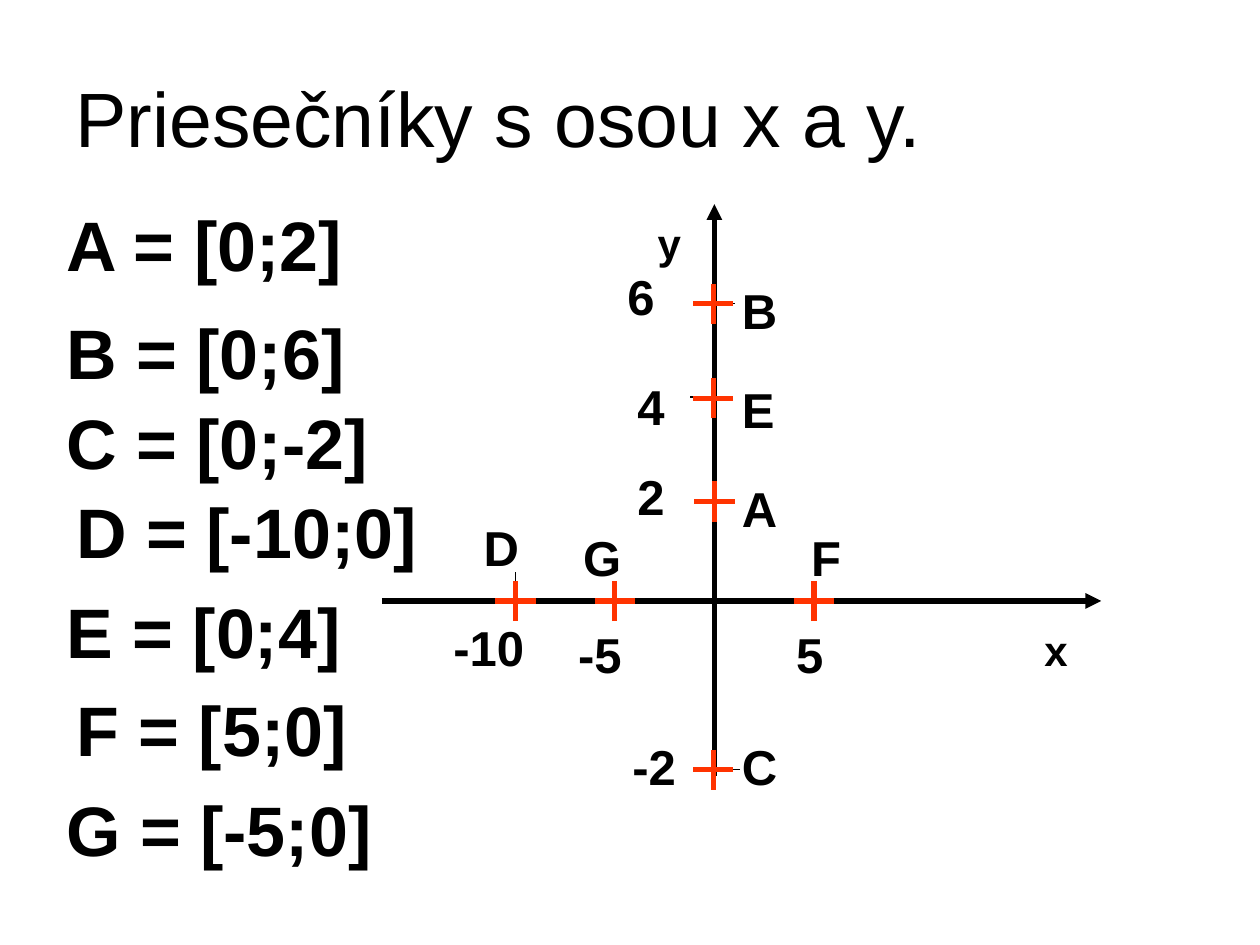
"""Build a slide on the intercepts of points with the x and y axes."""
import pptx
import pptx.dml.color
import pptx.enum.shapes
import pptx.enum.text
import pptx.oxml.ns
import pptx.util
from lxml import etree

Inches = pptx.util.Inches
RGBColor = pptx.dml.color.RGBColor
BLACK = RGBColor(0x00, 0x00, 0x00)
RED = RGBColor(0xFF, 0x33, 0x00)
AXIS_Y, ARM = 4.77, 0.16


def add_line(shapes, x1, y1, x2, y2, color=BLACK, width=3, arrow=False):
    c = shapes.add_connector(
        pptx.enum.shapes.MSO_CONNECTOR.STRAIGHT,
        Inches(x1), Inches(y1), Inches(x2), Inches(y2))
    c.line.color.rgb = color
    c.line.width = pptx.util.Pt(width)
    if arrow:
        etree.SubElement(c.line._get_or_add_ln(), pptx.oxml.ns.qn("a:tailEnd"), type="triangle")
    etree.SubElement(c._element.spPr, pptx.oxml.ns.qn("a:effectLst"))


def add_text(text, x, y, w, h, size, bold=True):
    sp = s.shapes.add_textbox(Inches(x), Inches(y), Inches(w), Inches(h))
    tf = sp.text_frame
    tf.word_wrap = True
    p = tf.paragraphs[0]
    r = p.add_run()
    r.text = text
    for name, value in {"name": "Arial", "size": pptx.util.Pt(size), "bold": bold}.items():
        setattr(r.font, name, value)
    r.font.color.rgb = BLACK
    return tf


prs = pptx.Presentation()
prs.slide_width, prs.slide_height = Inches(10), Inches(7.5)
s = prs.slides.add_slide(prs.slide_layouts[6])

title = add_text("Priesečníky s osou x a y.", 0.5, 0.3, 9, 1.25, 44, bold=False)
title.vertical_anchor = pptx.enum.text.MSO_ANCHOR.MIDDLE

add_line(s.shapes, 3.03, AXIS_Y, 8.74, AXIS_Y, arrow=True)
add_line(s.shapes, 5.67, 6.16, 5.67, 1.62, arrow=True)

for x, top, bottom in [(4.09, 4.54, 4.85), (4.88, 4.62, 4.93), (6.46, 4.62, 4.93)]:
    add_line(s.shapes, x, top, x, bottom, width=0.75)
for y, left, right in [(3.99, 5.51, 5.83), (3.15, 5.48, 5.79),
                       (2.41, 5.51, 5.83), (6.11, 5.63, 5.87)]:
    add_line(s.shapes, left, y, right, y, width=0.75)

crosses = [(6.46, AXIS_Y), (5.67, 3.98), (4.88, AXIS_Y), (5.66, 3.16),
           (4.09, AXIS_Y), (5.66, 2.41), (5.66, 6.11)]
for x, y in crosses:
    cross = s.shapes.add_group_shape()
    add_line(cross.shapes, x - ARM, y, x + ARM, y, RED)
    add_line(cross.shapes, x, y + ARM, x, y - ARM, RED)

axis_names = [("y", 5.12, 1.68), ("x", 8.19, 4.91)]
axis_values = [("-10", 3.5, 4.85, 0.98), ("4", 4.96, 2.94, 0.71), ("-5", 4.49, 4.91, 0.71),
               ("5", 6.22, 4.91, 0.71), ("6", 4.88, 2.07, 0.71), ("2", 4.96, 3.65, 0.71),
               ("-2", 4.92, 5.8, 0.79)]
point_names = [("B", 5.79, 2.18), ("A", 5.79, 3.75), ("C", 5.79, 5.8), ("D", 3.74, 4.06),
               ("E", 5.79, 2.96), ("F", 6.34, 4.14), ("G", 4.53, 4.14)]
coordinates = [("A = [0;2]", 0.43, 1.55, 2.52), ("B = [0;6]", 0.43, 2.41, 2.52),
               ("C = [0;-2]", 0.43, 3.12, 2.76), ("D = [-10;0]", 0.51, 3.83, 2.91),
               ("E = [0;4]", 0.43, 4.62, 2.52), ("F = [5;0]", 0.51, 5.4, 2.52),
               ("G = [-5;0]", 0.43, 6.19, 2.76)]
labels = [(*name, 0.39, 0.5, 24) for name in axis_names]
labels += [(*value, 0.57, 28) for value in axis_values]
labels += [(*name, 0.87, 0.57, 28) for name in point_names]
labels += [(*point, 0.77, 40) for point in coordinates]
for label in labels:
    tf = add_text(*label)
    tf.auto_size = pptx.enum.text.MSO_AUTO_SIZE.SHAPE_TO_FIT_TEXT

prs.save("out.pptx")
